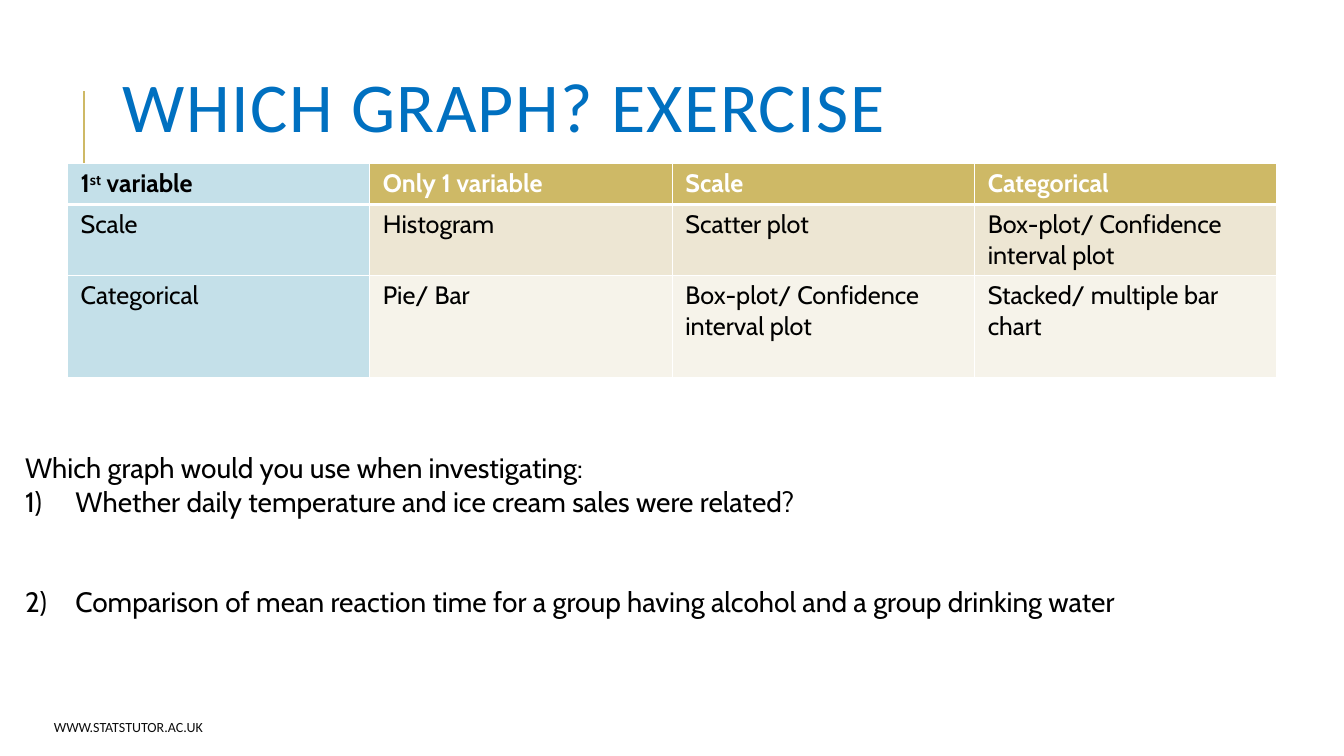
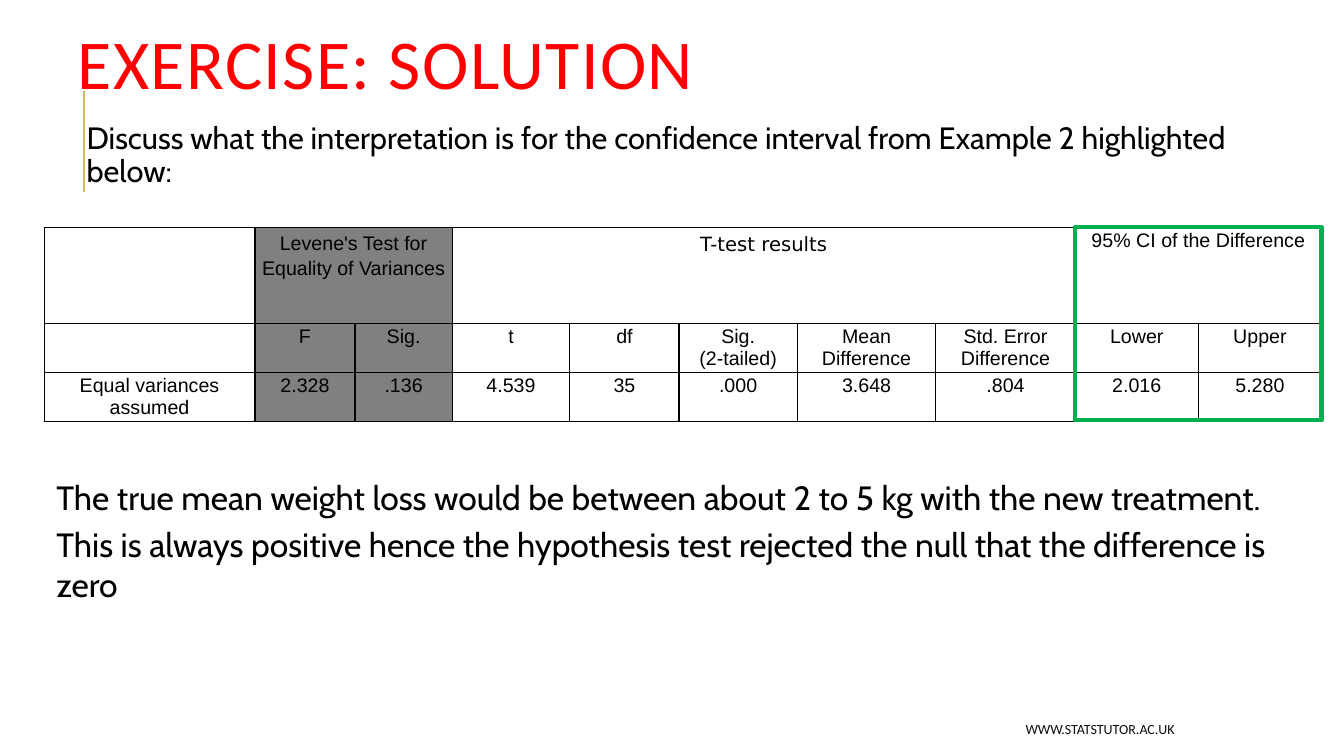
from lxml.etree import SubElement
from pptx import Presentation
from pptx.dml.color import RGBColor
from pptx.enum.shapes import MSO_CONNECTOR, MSO_SHAPE
from pptx.enum.text import MSO_ANCHOR as Anchor, MSO_AUTO_SIZE as AutoSize, PP_ALIGN as Align
from pptx.oxml.ns import qn
from pptx.util import Pt

COLOURS = {
    "gold": "CEB966", "gold_mid": "EDE6D3", "gold_pale": "F6F3EA", "sky": "C4E0E9",
    "blue": "0070C0", "red": "FF0000", "green": "00B050", "grey": "808080",
    "black": "000000", "ink": "0D0D0D", "white": "FFFFFF",
}
COLOURS = {name: RGBColor.from_string(value) for name, value in COLOURS.items()}


def write(frame, text, font="Cabin", size=18, colour="black", bold=False, align=Align.LEFT,
          anchor=Anchor.TOP, line_spacing=None, gap=0, tracking=None):
    frame.word_wrap = True
    frame.vertical_anchor = anchor
    for index, line in enumerate(text.split("\n")):
        paragraph = frame.add_paragraph() if index else frame.paragraphs[0]
        paragraph.alignment = align
        paragraph.line_spacing = line_spacing
        if index and gap:
            paragraph.space_before = Pt(gap)
        for position, piece in enumerate(line.split("^")):
            run = paragraph.add_run()
            run.text = piece
            run.font.name = font
            run.font.size = Pt(size)
            run.font.bold = bold
            run.font.color.rgb = COLOURS[colour]
            properties = run._r.get_or_add_rPr()
            if position % 2:
                properties.set("baseline", "30000")
            if tracking:
                properties.set("spc", str(tracking * 100))


def style_cell(cell, fill, border, margins, top=1, bottom=1):
    cell.margin_left = cell.margin_right = Pt(margins[0])
    cell.margin_top = cell.margin_bottom = Pt(margins[1])
    properties = cell._tc.get_or_add_tcPr()
    for side, width in (("L", 1), ("R", 1), ("T", top), ("B", bottom)):
        line = SubElement(properties, qn(f"a:ln{side}"), w=str(Pt(width)))
        solid = SubElement(line, qn("a:solidFill"))
        SubElement(solid, qn("a:srgbClr"), val=str(COLOURS[border]))
    cell.fill.solid()
    cell.fill.fore_color.rgb = COLOURS[fill]


presentation = Presentation()
presentation.slide_width, presentation.slide_height = Pt(960), Pt(540)

pages = [
    ("WHICH GRAPH? EXERCISE", "blue", (80.6, 21.6, 765.4, 118), (0, 504, 152, 30)),
    ("EXERCISE: SOLUTION", "red", (48.2, 21.6, 840, 56), (381.6, 510, 464.4, 21.6)),
]
for title, colour, title_box, footer_box in pages:
    slide = presentation.slides.add_slide(presentation.slide_layouts[5])
    accent = slide.shapes.add_connector(MSO_CONNECTOR.STRAIGHT, Pt(60), Pt(136.8), Pt(60), Pt(64.8))
    accent.line.color.rgb = COLOURS["gold"]
    accent.line.width = Pt(1.5)
    SubElement(accent._element.spPr, qn("a:effectLst"))
    heading = slide.shapes.title
    heading.left, heading.top, heading.width, heading.height = map(Pt, title_box)
    heading.text_frame.auto_size = AutoSize.NONE
    write(heading.text_frame, title, font="Calibri", size=50, colour=colour,
          anchor=Anchor.MIDDLE, line_spacing=0.8, tracking=1)
    footer = slide.shapes.add_textbox(*map(Pt, footer_box))
    write(footer.text_frame, "WWW.STATSTUTOR.AC.UK", font="Calibri", size=10, colour="ink",
          align=Align.RIGHT, anchor=Anchor.MIDDLE)

exercise, solution = presentation.slides

graph_rows = [
    ["1^st^ variable", "Only 1 variable", "Scale", "Categorical"],
    ["Scale", "Histogram", "Scatter plot", "Box-plot/ Confidence interval plot"],
    ["Categorical", "Pie/ Bar", "Box-plot/ Confidence interval plot", "Stacked/ multiple bar chart"],
]
graph_table = exercise.shapes.add_table(3, 4, Pt(48.2), Pt(116.6), Pt(864), Pt(153.5)).table
graph_table.first_row = graph_table.horz_banding = False
row_styles = zip(graph_rows, (29.5, 50.5, 73.5), ("gold", "gold_mid", "gold_pale"))
for row, (texts, height, fill) in enumerate(row_styles):
    graph_table.rows[row].height = Pt(height)
    for column, text in enumerate(texts):
        cell = graph_table.cell(row, column)
        style_cell(cell, fill if column else "sky", "white", (9.4, 3.6),
                   top=3 if row == 1 else 1, bottom=1 if row else 3)
        write(cell.text_frame, text, bold=row == 0,
              colour="white" if row == 0 and column else "black")

questions = exercise.shapes.add_textbox(Pt(10.8), Pt(318.2), Pt(900.7), Pt(128))
write(questions.text_frame,
      "Which graph would you use when investigating:\n"
      "Whether daily temperature and ice cream sales were related?\n"
      "Comparison of mean reaction time for a group having alcohol and a group drinking water",
      size=20)
numbered = questions.text_frame.paragraphs[1:]
for paragraph in numbered:
    properties = paragraph._p.get_or_add_pPr()
    properties.set("marL", str(Pt(36)))
    properties.set("indent", str(Pt(-36)))
    SubElement(properties, qn("a:buAutoNum"), type="arabicParenR")
numbered[-1].space_before = Pt(48)

prompt = solution.shapes.add_textbox(Pt(51.1), Pt(84.2), Pt(864), Pt(77.8))
prompt.text_frame.margin_left = Pt(10.8)
prompt.text_frame.margin_right = Pt(3.6)
write(prompt.text_frame,
      "Discuss what the interpretation is for the confidence interval from Example 2 highlighted below:",
      size=22, line_spacing=0.9)

result_rows = [
    ["", "Levene's Test for Equality of Variances", "", "T-test results", "", "", "", "",
     "95% CI of the Difference", ""],
    ["", "F", "Sig.", "t", "df", "Sig.\n(2-tailed)", "Mean Difference", "Std. Error Difference",
     "Lower", "Upper"],
    ["Equal variances assumed", "2.328", ".136", "4.539", "35", ".000", "3.648", ".804",
     "2.016", "5.280"],
]
result_widths = (150.5, 71.5, 69.5, 84, 78, 84.5, 99, 99.5, 88, 88)
result_heights = (68.5, 35, 35)
result_table = solution.shapes.add_table(
    3, 10, Pt(31.6), Pt(162.5), Pt(sum(result_widths)), Pt(sum(result_heights))).table
result_table.first_row = result_table.horz_banding = False
for column, width in enumerate(result_widths):
    result_table.columns[column].width = Pt(width)
for row, (texts, height) in enumerate(zip(result_rows, result_heights)):
    result_table.rows[row].height = Pt(height)
    for column, text in enumerate(texts):
        cell = result_table.cell(row, column)
        style_cell(cell, "grey" if column in (1, 2) else "white", "black", (2.2, 1.4))
        if text:
            write(cell.text_frame, text, size=14, align=Align.CENTER, anchor=Anchor.MIDDLE,
                  font="DejaVu Sans" if text == "T-test results" else "Arial",
                  line_spacing=1.15 if row == 0 and column < 8 else Pt(16))
for first, last in ((1, 2), (3, 7), (8, 9)):
    result_table.cell(0, first).merge(result_table.cell(0, last))

highlight = solution.shapes.add_shape(MSO_SHAPE.RECTANGLE, Pt(768), Pt(162), Pt(176), Pt(138.2))
highlight.shadow.inherit = False
highlight.fill.background()
highlight.line.color.rgb = COLOURS["green"]
highlight.line.width = Pt(3)

answer = solution.shapes.add_textbox(Pt(33.1), Pt(337), Pt(885), Pt(100))
write(answer.text_frame,
      "The true mean weight loss would be between about 2 to 5 kg with the new treatment.\n"
      "This is always positive hence the hypothesis test rejected the null that the difference is zero",
      size=24, gap=4.8)

presentation.save("out.pptx")
